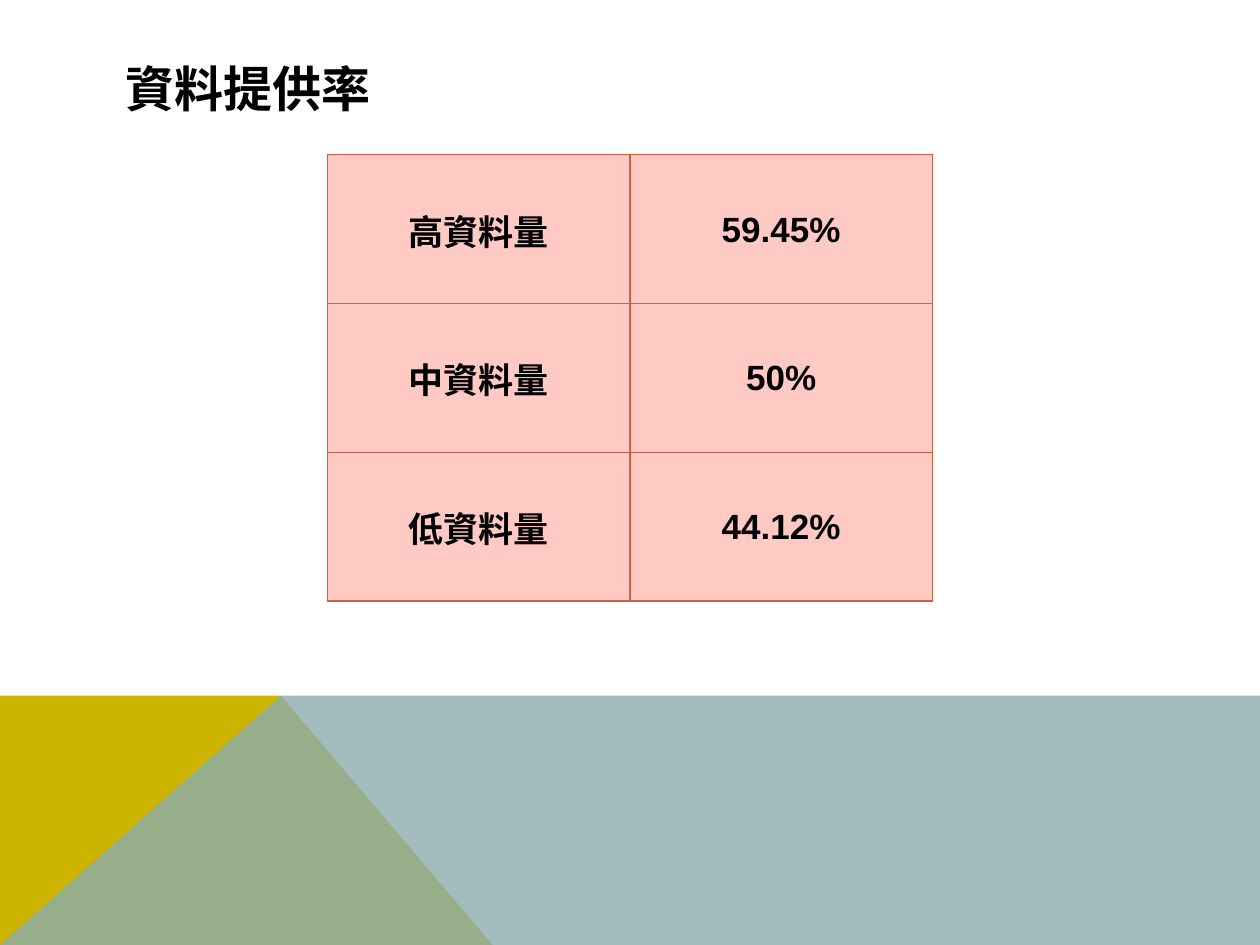
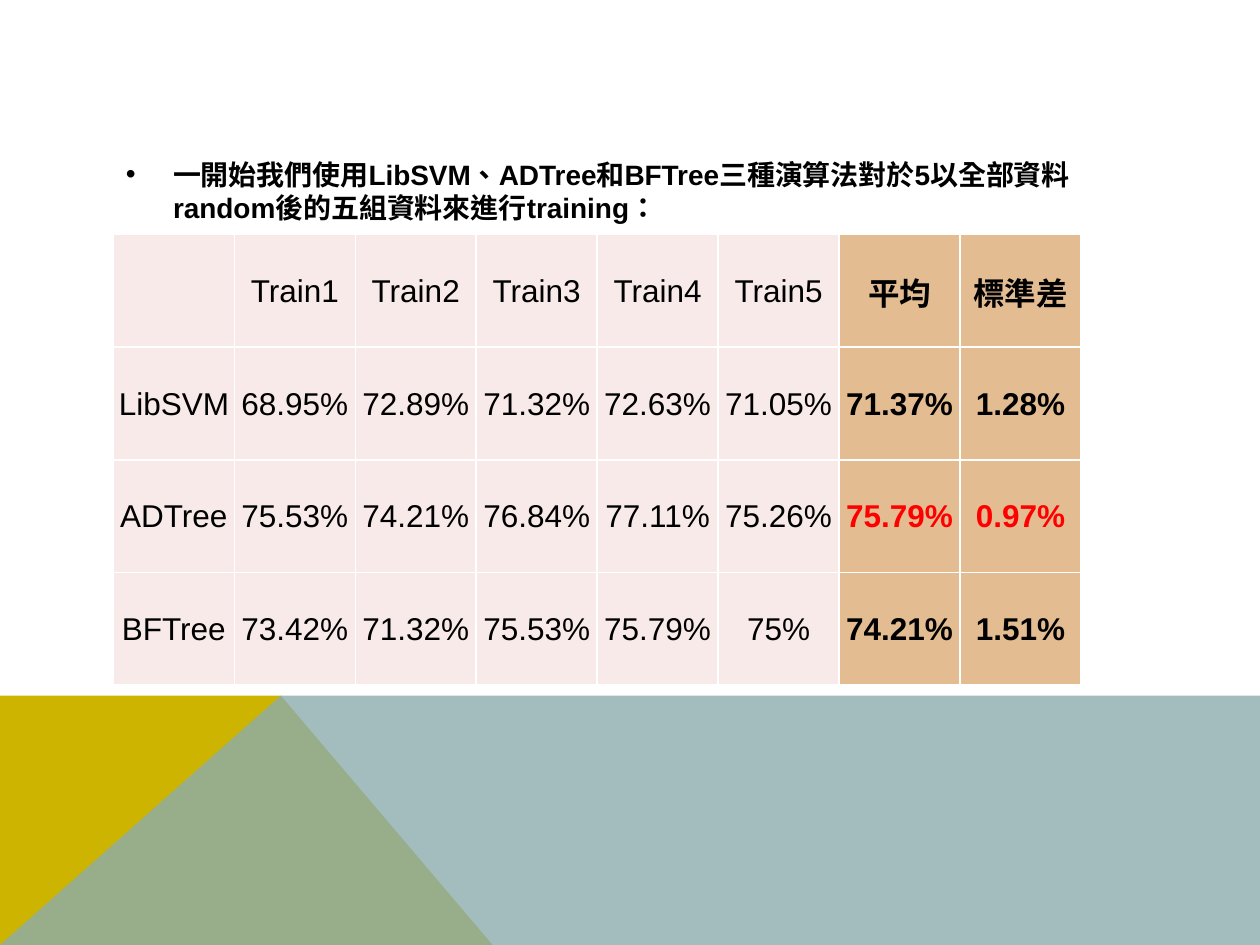
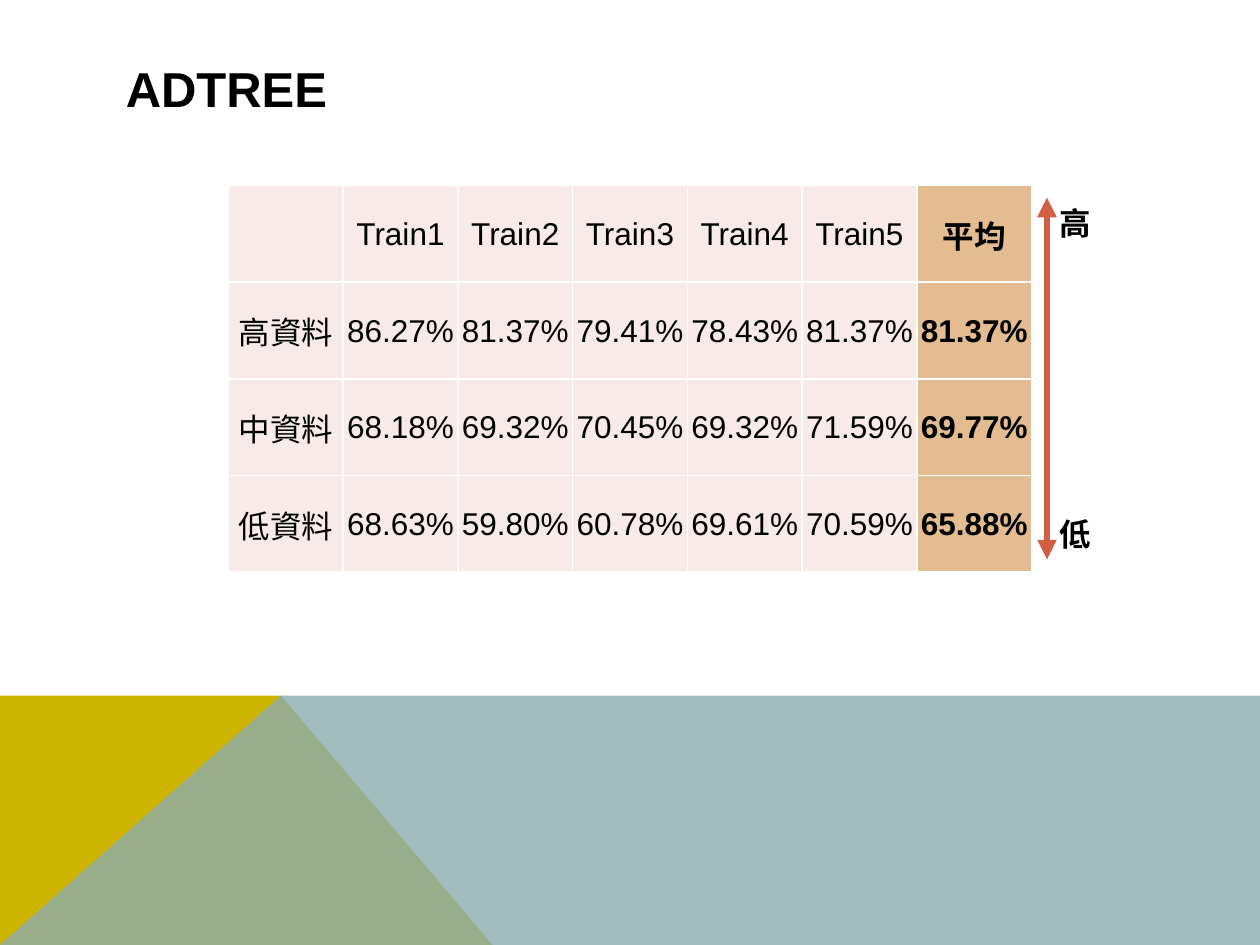
from pptx import Presentation
from pptx.dml.color import RGBColor
from pptx.enum.shapes import MSO_CONNECTOR
from pptx.enum.text import MSO_ANCHOR, PP_ALIGN
from pptx.oxml.ns import qn
from pptx.util import Pt
from lxml.etree import SubElement

FONT = "Arial"
BLACK, RED, WHITE = "000000", "FF0000", "FFFFFF"
CORAL, PINK, BLUSH, TAN = "D05F44", "FFC9C4", "F7EAE9", "E3BC92"
YELLOW, TEAL = "CCB400", "8CADAE"
WIDTH, HEIGHT = 720, 540
BAND_TOP, PEAK_X, YELLOW_RIGHT = 397.5, 160.5, 281.5
MARGIN = 64.8

TRAINS = ["Train1", "Train2", "Train3", "Train4", "Train5"]
INTRO = ("一開始我們使用LibSVM、ADTree和BFTree三種演算法對於5以全部資料"
         "random後的五組資料來進行training：")

RATES = {
    "rows": [["高資料量", "59.45%"], ["中資料量", "50%"], ["低資料量", "44.12%"]],
    "box": (187.2, 88.5, 345.6, 255),
    "size": 20, "bold_from": 0, "fill": PINK, "bold_fill": PINK, "border": (CORAL, 0.75),
}
TRAIN_STYLE = {"size": 18, "bold_from": 6, "fill": BLUSH, "bold_fill": TAN, "border": (WHITE, 1)}
ALGORITHMS = {
    "rows": [
        ["", *TRAINS, "平均", "標準差"],
        ["LibSVM", "68.95%", "72.89%", "71.32%", "72.63%", "71.05%", "71.37%", "1.28%"],
        ["ADTree", "75.53%", "74.21%", "76.84%", "77.11%", "75.26%", "75.79%", "0.97%"],
        ["BFTree", "73.42%", "71.32%", "75.53%", "75.79%", "75%", "74.21%", "1.51%"],
    ],
    "box": (MARGIN, 134, 553, 257.6), "red_row": 2, **TRAIN_STYLE,
}
DATA_LEVELS = {
    "rows": [
        ["", *TRAINS, "平均"],
        ["高資料", "86.27%", "81.37%", "79.41%", "78.43%", "81.37%", "81.37%"],
        ["中資料", "68.18%", "69.32%", "70.45%", "69.32%", "71.59%", "69.77%"],
        ["低資料", "68.63%", "59.80%", "60.78%", "69.61%", "70.59%", "65.88%"],
    ],
    "box": (130.5, 106, 459, 221), **TRAIN_STYLE,
}
ARROW_X, ARROW_TOP, ARROW_BOTTOM = 598.3, 113, 319.7
ARROW_LABELS = [("高", 113), ("低", 290.5)]


def rgb(color):
    return RGBColor.from_string(color)


def write(tf, text, size, color=BLACK, bold=True):
    p = tf.paragraphs[0]
    r = p.add_run()
    r.text = text
    style = {"name": FONT, "size": Pt(size), "bold": bold}
    for name, value in style.items():
        setattr(r.font, name, value)
    r.font.color.rgb = rgb(color)
    r._r.get_or_add_rPr().set("lang", "zh-TW")
    return p


def add_text(s, text, box, size, anchor=MSO_ANCHOR.TOP):
    tf = s.shapes.add_textbox(*map(Pt, box)).text_frame
    tf.word_wrap = True
    tf.vertical_anchor = anchor
    return write(tf, text, size)


def add_title(s, text):
    add_text(s, text, (MARGIN, 28.8, 592, 43.2), 28, MSO_ANCHOR.MIDDLE)


def add_intro(s, text):
    p = add_text(s, text, (MARGIN, 86.4, 592, 281.5), 16)
    p.space_before = Pt(8)
    pPr = p._p.get_or_add_pPr()
    pPr.set("marL", str(Pt(27)))
    pPr.set("indent", str(Pt(-27)))
    SubElement(pPr, qn("a:buFont"), typeface=FONT)
    SubElement(pPr, qn("a:buChar"), char="•")


def add_polygon(s, points, color, opacity=100):
    points = [(Pt(x), Pt(y)) for x, y in points]
    builder = s.shapes.build_freeform(*points[0], scale=1.0)
    builder.add_line_segments(points[1:], close=True)
    sp = builder.convert_to_shape()
    sp.shadow.inherit = False
    sp.fill.solid()
    sp.fill.fore_color.rgb = rgb(color)
    sp.line.fill.background()
    if opacity < 100:
        clr = sp._element.spPr.find(".//" + qn("a:srgbClr"))
        SubElement(clr, qn("a:alpha"), val=str(opacity * 1000))


def add_slide(prs):
    """Add a blank slide with the bottom bands."""
    s = prs.slides.add_slide(prs.slide_layouts[6])
    add_polygon(s, [(0, HEIGHT), (0, BAND_TOP), (PEAK_X, BAND_TOP),
                    (YELLOW_RIGHT, HEIGHT)], YELLOW)
    add_polygon(s, [(0, HEIGHT), (PEAK_X, BAND_TOP), (WIDTH, BAND_TOP),
                    (WIDTH, HEIGHT)], TEAL, 80)
    return s


def set_borders(cell, color, width):
    tcPr = cell._tc.get_or_add_tcPr()
    for i, side in enumerate(("lnL", "lnR", "lnT", "lnB")):
        ln = SubElement(tcPr, qn("a:" + side), w=str(Pt(width)))
        fill = SubElement(ln, qn("a:solidFill"))
        SubElement(fill, qn("a:srgbClr"), val=color)
        tcPr.insert(i, ln)


def add_grid(s, rows, box, size, bold_from, fill, bold_fill, border, red_row=None):
    """Add a table of equal cells; columns from bold_from on are emphasised."""
    n_rows, n_cols = len(rows), len(rows[0])
    table = s.shapes.add_table(n_rows, n_cols, *map(Pt, box)).table
    table.first_row = table.horz_banding = False
    for column in table.columns:
        column.width = Pt(box[2] / n_cols)
    for row in table.rows:
        row.height = Pt(box[3] / n_rows)
    cell_format = {"vertical_anchor": MSO_ANCHOR.MIDDLE, "margin_left": Pt(0.7),
                   "margin_right": Pt(0.7), "margin_top": Pt(0.7), "margin_bottom": 0}
    for i, values in enumerate(rows):
        for j, value in enumerate(values):
            cell = table.cell(i, j)
            bold = j >= bold_from
            for name, setting in cell_format.items():
                setattr(cell, name, setting)
            cell.fill.solid()
            cell.fill.fore_color.rgb = rgb(bold_fill if bold else fill)
            set_borders(cell, *border)
            if value:
                color = RED if bold and i == red_row else BLACK
                write(cell.text_frame, value, size, color, bold).alignment = PP_ALIGN.CENTER


def add_double_arrow(s, x, top, bottom):
    line = s.shapes.add_connector(MSO_CONNECTOR.STRAIGHT, Pt(x), Pt(top), Pt(x), Pt(bottom))
    line.line.color.rgb = rgb(CORAL)
    line.line.width = Pt(3.75)
    ln = line.line._get_or_add_ln()
    for end in ("headEnd", "tailEnd"):
        SubElement(ln, qn("a:" + end), type="triangle")
    SubElement(line._element.spPr, qn("a:effectLst"))


def main():
    prs = Presentation()
    prs.slide_width, prs.slide_height = Pt(WIDTH), Pt(HEIGHT)

    s = add_slide(prs)
    add_title(s, "資料提供率")
    add_grid(s, **RATES)

    s = add_slide(prs)
    add_intro(s, INTRO)
    add_grid(s, **ALGORITHMS)

    s = add_slide(prs)
    add_title(s, "ADTREE")
    add_double_arrow(s, ARROW_X, ARROW_TOP, ARROW_BOTTOM)
    for text, top in ARROW_LABELS:
        add_text(s, text, (ARROW_X, top, 28, 29), 18)
    add_grid(s, **DATA_LEVELS)

    prs.save("out.pptx")


if __name__ == "__main__":
    main()
